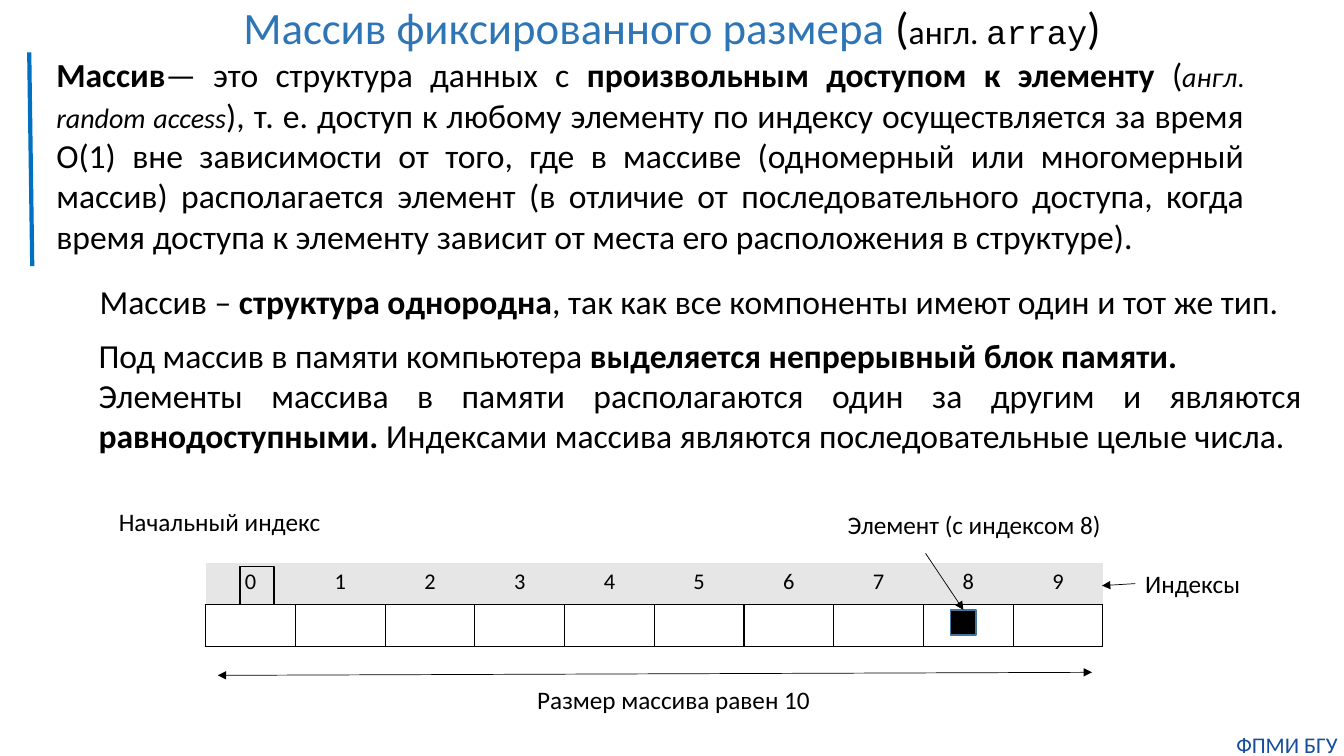
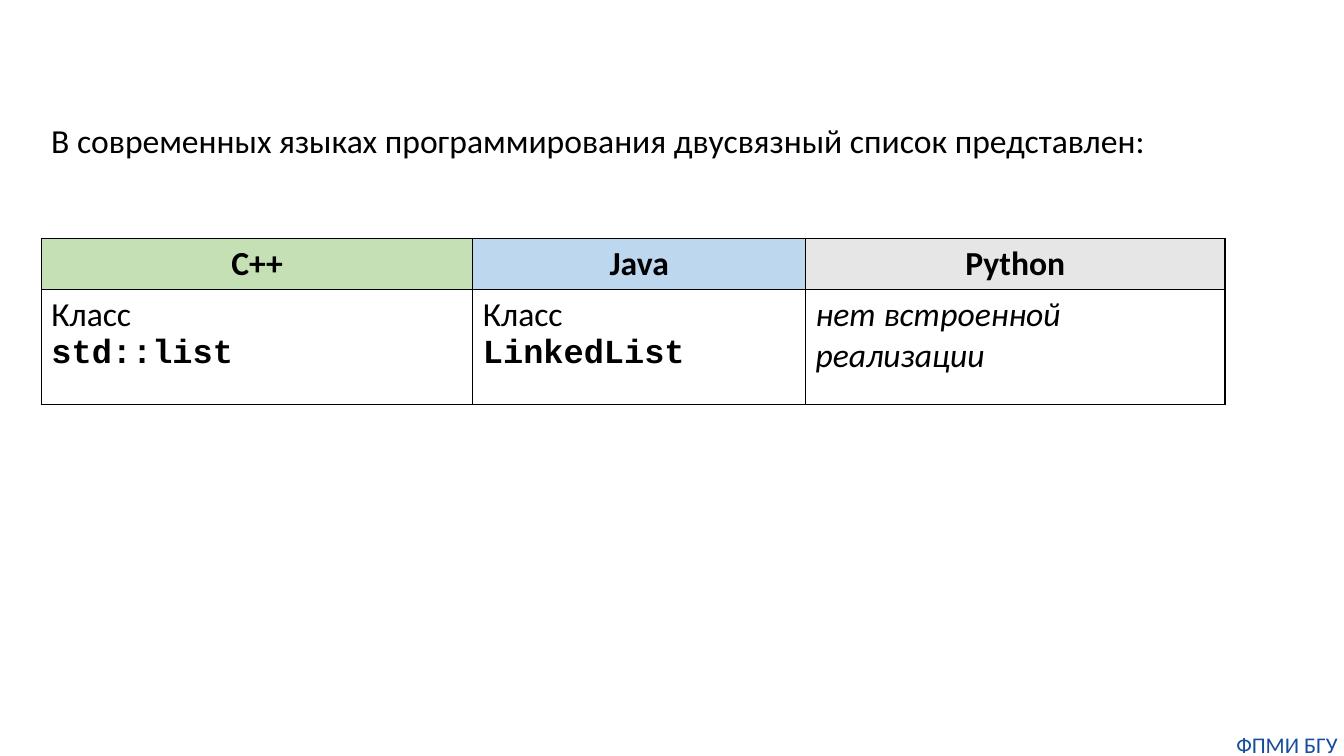
import lxml.etree
import pptx
import pptx.dml.color
import pptx.enum.shapes
import pptx.enum.text
import pptx.oxml.ns
import pptx.util

Inches = pptx.util.Inches
Pt = pptx.util.Pt
qn = pptx.oxml.ns.qn
ALIGN = pptx.enum.text.PP_ALIGN

COLORS = {
    "text": "000000",
    "title": "2E75B6",
    "footer": "144E9D",
    "accent": "0070C0",
    "element_edge": "43739E",
    "gray": "E7E6E6",
    "green": "C5E0B4",
    "blue": "BDD7EE",
}
BODY_FONT = "Calibri"
CODE_FONT = "Courier New"
BOLD = {"bold": True}
ITALIC = {"italic": True}
EDGES = "LRTB"


def rgb(name):
    return pptx.dml.color.RGBColor.from_string(COLORS[name])


def add_run(paragraph, text, size, font=BODY_FONT, color="text", bold=False, italic=False):
    run = paragraph.add_run()
    run.text = text
    run.font.name = font
    run.font.size = Pt(size)
    run.font.bold = bold
    run.font.italic = italic
    run.font.color.rgb = rgb(color)


def write(frame, paragraphs, size=24, align=ALIGN.LEFT, level=0):
    for number, runs in enumerate(paragraphs):
        paragraph = frame.add_paragraph() if number else frame.paragraphs[0]
        paragraph.alignment = align
        paragraph.level = level
        for text, style in runs:
            add_run(paragraph, text, **{"size": size, **style})


def add_text(slide, box, paragraphs, wrap=True, margin=None, **layout):
    label = slide.shapes.add_textbox(*map(Inches, box))
    frame = label.text_frame
    frame.word_wrap = wrap
    frame.auto_size = pptx.enum.text.MSO_AUTO_SIZE.SHAPE_TO_FIT_TEXT
    if margin is not None:
        frame.margin_left = frame.margin_right = Inches(margin)
        frame.margin_top = frame.margin_bottom = Inches(margin)
    write(frame, paragraphs, **layout)
    return label


def add_caption(slide, left, top, width, text):
    return add_text(slide, (left, top, width, 0.4), [[(text, {})]], wrap=False, size=18)


def add_line(slide, start, end, color="text", width=0.5, arrows=()):
    line = slide.shapes.add_connector(
        pptx.enum.shapes.MSO_CONNECTOR.STRAIGHT, *map(Inches, start + end)
    )
    line.line.color.rgb = rgb(color)
    line.line.width = Pt(width)
    properties = line._element.spPr
    outline = properties.find(qn("a:ln"))
    for arrow in arrows:
        lxml.etree.SubElement(outline, qn(f"a:{arrow}"), type="triangle")
    lxml.etree.SubElement(properties, qn("a:effectLst"))
    return line


def add_square(slide, box, line_color, fill=None):
    square = slide.shapes.add_shape(
        pptx.enum.shapes.MSO_SHAPE.RECTANGLE, *map(Inches, box)
    )
    square.shadow.inherit = False
    if fill:
        square.fill.solid()
        square.fill.fore_color.rgb = rgb(fill)
    else:
        square.fill.background()
    square.line.color.rgb = rgb(line_color)
    square.line.width = Pt(1)
    return square


def style_cell(cell, fill=None, borders=EDGES):
    properties = cell._tc.get_or_add_tcPr()
    for edge in EDGES:
        border = lxml.etree.SubElement(properties, qn(f"a:ln{edge}"), w=str(Pt(1)))
        if edge in borders:
            paint = lxml.etree.SubElement(border, qn("a:solidFill"))
            lxml.etree.SubElement(paint, qn("a:srgbClr"), val=COLORS["text"])
        else:
            lxml.etree.SubElement(border, qn("a:noFill"))
    if fill:
        cell.fill.solid()
        cell.fill.fore_color.rgb = rgb(fill)
    else:
        cell.fill.background()


def add_table(slide, left, top, widths, heights):
    table = slide.shapes.add_table(
        len(heights), len(widths),
        *map(Inches, (left, top, sum(widths), sum(heights))),
    ).table
    table.first_row = False
    table.horz_banding = False
    for column, width in zip(table.columns, widths):
        column.width = Inches(width)
    for row, height in zip(table.rows, heights):
        row.height = Inches(height)
    return table


def add_slide(deck):
    slide = deck.slides.add_slide(deck.slide_layouts[6])
    footer = [[("ФПМИ БГУ", {"color": "footer"})]]
    add_text(slide, (12.2, 7.25, 1.13, 0.27), footer, margin=0, size=16, align=ALIGN.CENTER)
    return slide


def add_definitions(slide):
    add_text(slide, (1.82, -0.05, 9.69, 0.64), [[
        ("Массив фиксированного размера ", {"color": "title"}),
        ("(", {}),
        ("англ. ", {"size": 24}),
        ("array", {"size": 24, "font": CODE_FONT}),
        (")", {}),
    ]], size=32, align=ALIGN.CENTER)
    add_text(slide, (0.46, 0.49, 11.98, 2.12), [[
        ("Массив", BOLD),
        ("— это структура данных с ", {}),
        ("произвольным доступом к элементу ", BOLD),
        ("(", {}),
        ("англ", {"size": 20, "italic": True}),
        (". ", {"size": 20}),
        ("random access", {"size": 20, "italic": True}),
        ("), т. е. доступ к любому элементу по индексу осуществляется за время O(1) "
         "вне зависимости от того, где в массиве (одномерный или многомерный массив) "
         "располагается элемент (в отличие от последовательного доступа, когда время "
         "доступа к элементу зависит от места его расположения в структуре).", {}),
    ]], align=ALIGN.JUSTIFY)
    add_text(slide, (0.39, 2.74, 12.62, 0.5), [[
        ("Массив – ", {}),
        ("структура однородна", BOLD),
        (", так как все компоненты имеют один и тот же тип.", {}),
    ]], align=ALIGN.JUSTIFY, level=1)
    add_text(slide, (0.38, 3.27, 12.63, 1.31), [
        [
            ("Под массив в памяти компьютера ", {}),
            ("выделяется непрерывный блок памяти.", BOLD),
        ],
        [
            ("Элементы массива в памяти располагаются один за другим и являются ", {}),
            ("равнодоступными. ", BOLD),
            ("Индексами массива являются последовательные целые числа.", {}),
        ],
    ], align=ALIGN.JUSTIFY, level=1)
    add_line(slide, (0.29, 0.52), (0.32, 2.64), color="accent", width=3)


def add_array_diagram(slide, size=10):
    array = add_table(slide, 2.04, 5.59, [0.89] * size, [0.41] * 2)
    for index in range(size):
        heading = array.cell(0, index)
        write(heading.text_frame, [[(str(index), {})]], size=16, align=ALIGN.CENTER)
        style_cell(heading, "gray", borders="B")
        style_cell(array.cell(1, index))

    add_line(slide, (2.16, 6.7), (10.83, 6.67), arrows=("headEnd", "tailEnd"))
    element = add_square(slide, (9.43, 6.05, 0.25, 0.25), "element_edge", fill="text")
    add_square(slide, (2.38, 5.62, 0.34, 0.38), "text")

    add_caption(slide, 5.23, 6.74, 2.94, f"Размер массива равен {size}")
    add_caption(slide, 1.08, 4.97, 2.22, "Начальный индекс")
    add_caption(slide, 8.31, 5, 2.74, "Элемент (с индексом 8)")
    indices = add_caption(slide, 11.26, 5.59, 1.15, "Индексы")

    element_arrow = add_line(slide, (9.18, 5.49), (9.56, 6.05), arrows=("tailEnd",))
    element_arrow.end_connect(element, 0)
    indices_arrow = add_line(slide, (11.26, 5.79), (10.93, 5.81), arrows=("tailEnd",))
    indices_arrow.begin_connect(indices, 1)


def add_language_table(slide):
    languages = [
        ("C++", "green", [[("Класс", {})], [("std::list", {"font": CODE_FONT, **BOLD})]]),
        ("Java", "blue", [[("Класс", {})], [("LinkedList", {"font": CODE_FONT, **BOLD})]]),
        ("Python", "gray", [[("нет встроенной реализации", ITALIC)]]),
    ]
    table = add_table(slide, 0.41, 2.37, [4.28, 3.3, 4.16], [0.5, 1.14])
    for column, (language, fill, implementation) in enumerate(languages):
        heading, description = table.cell(0, column), table.cell(1, column)
        write(heading.text_frame, [[(language, BOLD)]], align=ALIGN.CENTER)
        write(description.text_frame, implementation)
        style_cell(heading, fill)
        style_cell(description)


def main():
    deck = pptx.Presentation()
    deck.slide_width = Inches(13.33)
    deck.slide_height = Inches(7.5)

    array_slide = add_slide(deck)
    add_definitions(array_slide)
    add_array_diagram(array_slide)

    list_slide = add_slide(deck)
    add_text(list_slide, (0.41, 1.14, 11.73, 0.5), [[
        ("В современных языках программирования двусвязный список представлен:", {}),
    ]])
    add_language_table(list_slide)

    deck.save("out.pptx")


if __name__ == "__main__":
    main()
